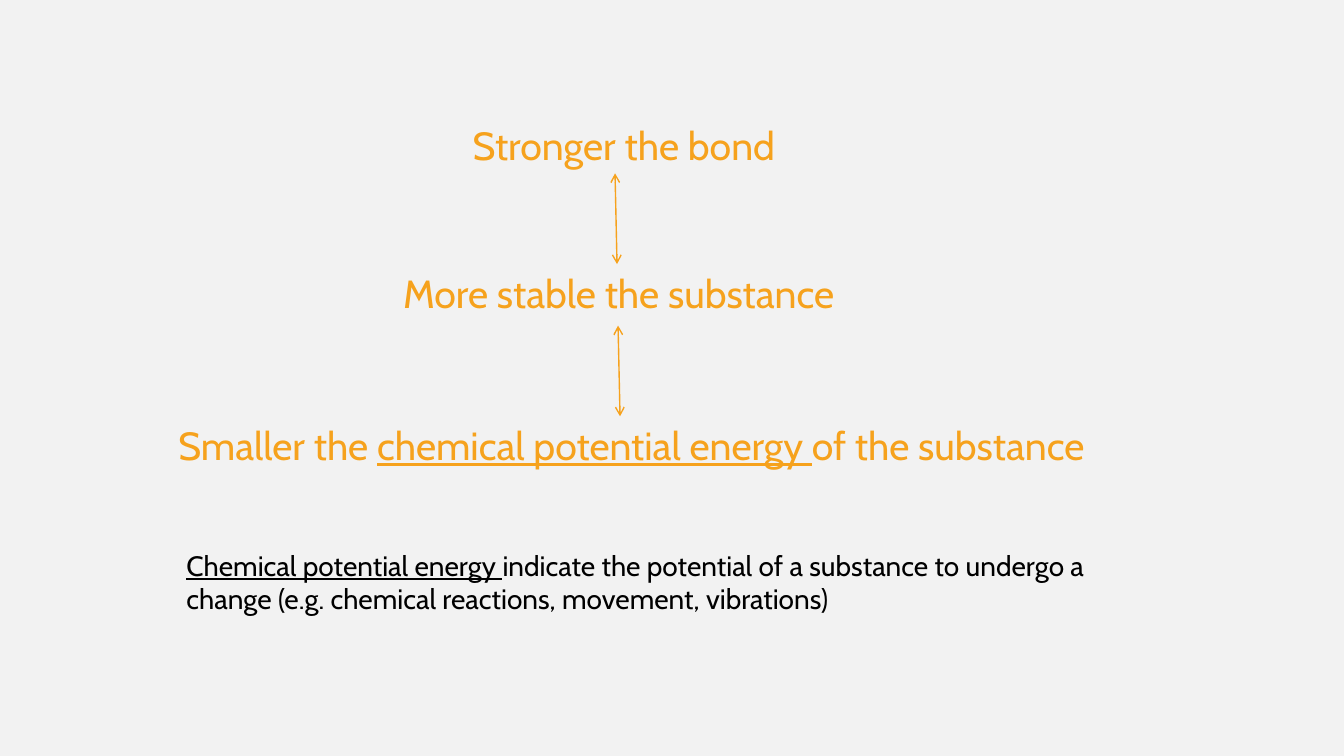
"""Build a slide linking bond strength, stability and chemical potential energy."""
from dataclasses import dataclass

from lxml import etree
from pptx import Presentation
from pptx.dml.color import RGBColor
from pptx.enum.shapes import MSO_CONNECTOR
from pptx.enum.text import MSO_AUTO_SIZE
from pptx.oxml.ns import qn
from pptx.slide import Slide
from pptx.util import Inches, Pt

STRAIGHT = MSO_CONNECTOR.STRAIGHT
GROW = MSO_AUTO_SIZE.SHAPE_TO_FIT_TEXT


@dataclass(frozen=True)
class Theme:
    font: str = "Cabin"
    background: RGBColor = RGBColor(0xF2, 0xF2, 0xF2)
    accent: RGBColor = RGBColor(0xF6, 0xA2, 0x1D)
    ink: RGBColor = RGBColor(0, 0, 0)
    claim_size: Pt = Pt(28)
    definition_size: Pt = Pt(20)
    arrow_width: Pt = Pt(1)


@dataclass(frozen=True)
class Phrase:
    text: str
    underline: bool = False


@dataclass(frozen=True)
class Statement:
    left: float
    top: float
    width: float
    height: float
    phrases: tuple[Phrase, ...]
    size: Pt
    color: RGBColor
    wrap: bool = False


@dataclass(frozen=True)
class Link:
    left: float
    top: float


THEME = Theme()
CLAIM_HEIGHT = 0.57
LINK_RUN, LINK_DROP = 0.02, 0.9


def claim(left: float, top: float, width: float, *phrases: Phrase) -> Statement:
    """Describe one claim in the chain."""
    return Statement(left, top, width, CLAIM_HEIGHT, phrases,
                     THEME.claim_size, THEME.accent)


STATEMENTS = (
    claim(4.59, 1.15, 3.65, Phrase("Stronger the bond")),
    claim(3.9, 2.62, 5.16, Phrase("More stable the substance")),
    claim(1.67, 4.13, 10.51, Phrase("Smaller the "),
          Phrase("chemical potential energy ", True), Phrase("of the substance")),
    Statement(1.75, 5.39, 9.45, 0.77,
              (Phrase("Chemical potential energy ", True),
               Phrase("indicate the potential of a substance to undergo a change "
                      "(e.g. chemical reactions, movement, vibrations)")),
              THEME.definition_size, THEME.ink, wrap=True),
)
LINKS = (Link(6.1, 1.72), Link(6.13, 3.23))


def draw_statement(slide: Slide, statement: Statement) -> None:
    """Write a statement in its text box."""
    frame = slide.shapes.add_textbox(
        Inches(statement.left), Inches(statement.top),
        Inches(statement.width), Inches(statement.height)).text_frame
    frame.word_wrap = statement.wrap
    frame.auto_size = GROW
    for phrase in statement.phrases:
        run = frame.paragraphs[0].add_run()
        run.text = phrase.text
        font_format = {"name": THEME.font, "size": statement.size,
                       "underline": phrase.underline}
        for attribute, value in font_format.items():
            setattr(run.font, attribute, value)
        run.font.color.rgb = statement.color


def draw_link(slide: Slide, link: Link) -> None:
    """Draw a double-headed arrow between two claims."""
    arrow = slide.shapes.add_connector(
        STRAIGHT, Inches(link.left), Inches(link.top),
        Inches(link.left + LINK_RUN), Inches(link.top + LINK_DROP))
    arrow.line.color.rgb = THEME.accent
    arrow.line.width = THEME.arrow_width
    outline = arrow.line._get_or_add_ln()
    for end in ("a:headEnd", "a:tailEnd"):
        etree.SubElement(outline, qn(end), type="arrow")
    etree.SubElement(outline.getparent(), qn("a:effectLst"))


def main() -> None:
    """Build and save the slide."""
    deck = Presentation()
    deck.slide_width, deck.slide_height = Inches(13.33), Inches(7.5)
    slide = deck.slides.add_slide(deck.slide_layouts[6])
    slide.background.fill.solid()
    slide.background.fill.fore_color.rgb = THEME.background
    for statement in STATEMENTS:
        draw_statement(slide, statement)
    for link in LINKS:
        draw_link(slide, link)
    deck.save("out.pptx")


if __name__ == "__main__":
    main()
